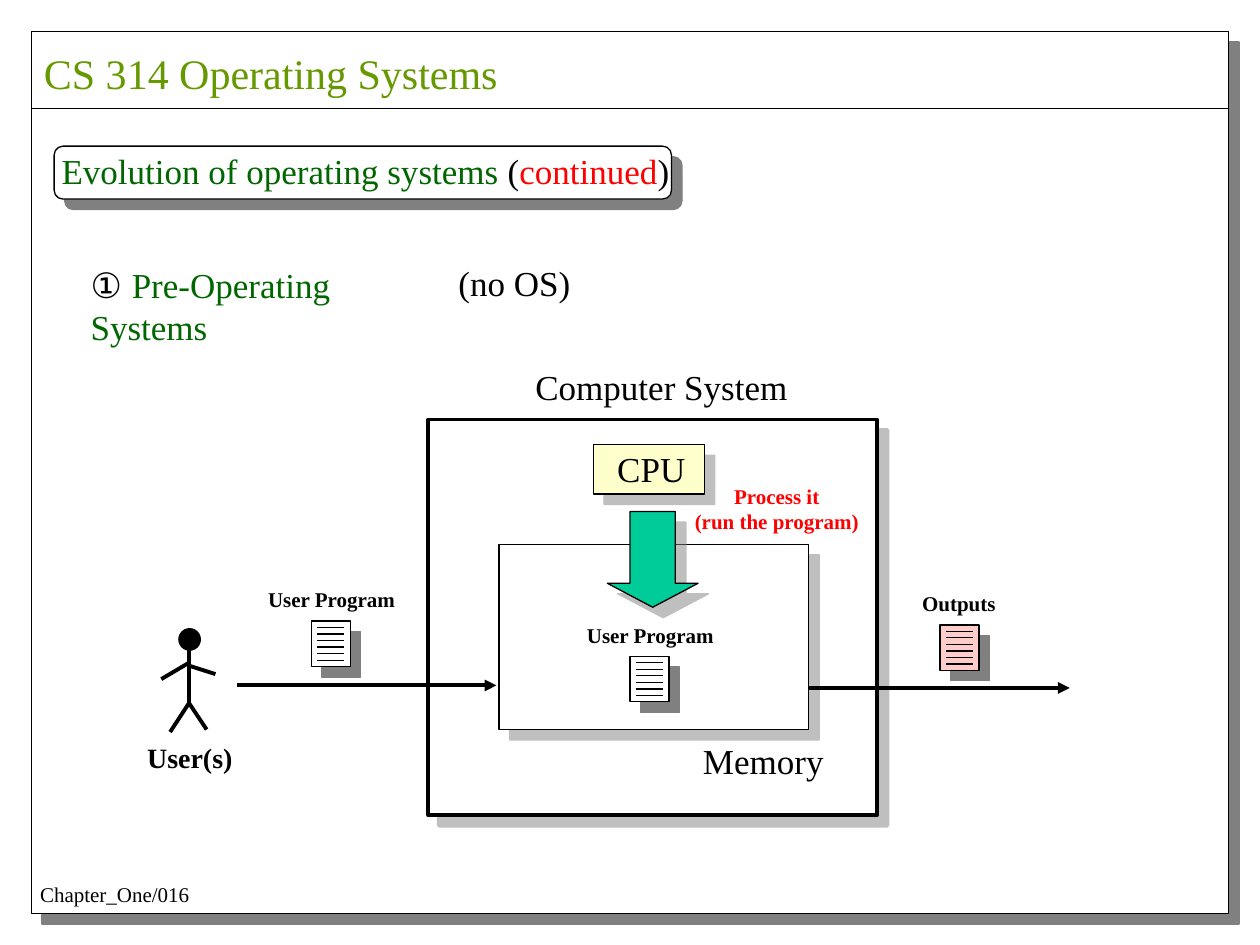
"""Builds the pre-operating-systems slide of a course on operating systems."""
from lxml import etree
from pptx import Presentation
from pptx.dml.color import RGBColor
from pptx.enum import shapes as kinds, text as styles
from pptx.oxml import ns
from pptx.util import Inches, Pt

BLACK = RGBColor(0x00, 0x00, 0x00)
WHITE = RGBColor(0xFF, 0xFF, 0xFF)
GREEN = RGBColor(0x00, 0x66, 0x00)
OLIVE = RGBColor(0x66, 0x99, 0x00)
RED = RGBColor(0xFF, 0x00, 0x00)
CREAM = RGBColor(0xFF, 0xFF, 0xCC)
PINK = RGBColor(0xFF, 0xCC, 0xCC)
TEAL = RGBColor(0x00, 0xCC, 0x99)
GRAY = RGBColor(0x80, 0x80, 0x80)

SERIF, SANS = "Times New Roman", "Arial"
THIN, THICK = 0.75, 2.25
SOLID, SOFT = 100, 50
SHAPE = kinds.MSO_SHAPE

HEADING_BOX = (SHAPE.ROUNDED_RECTANGLE, (0.43, 1.16, 4.9, 0.42), WHITE, THIN, SOLID, (0.167,))
FRAME = (SHAPE.RECTANGLE, (0.25, 0.25, 9.5, 7), WHITE, THIN, SOLID)
MACHINE = [
    (SHAPE.RECTANGLE, (3.4, 3.33, 3.56, 3.14), WHITE, THICK, SOFT),
    (SHAPE.RECTANGLE, (4.71, 3.53, 0.88, 0.39), CREAM, THIN, SOFT),
    (SHAPE.RECTANGLE, (3.96, 4.32, 2.46, 1.47), WHITE, THIN, SOFT),
    (SHAPE.DOWN_ARROW, (4.82, 4.06, 0.72, 0.76), TEAL, THIN, SOFT, (0.5, 0.264)),
]
USER_HEAD = (SHAPE.OVAL, (1.42, 4.99, 0.17, 0.17), BLACK, THIN, None)

DIVIDER = (0.25, 0.86, 9.75, 0.86)
FLOWS = [(1.88, 5.44, 3.94, 5.44), (6.42, 5.46, 8.49, 5.46)]
USER_LIMBS = [
    (1.5, 5.07, 1.5, 5.58),
    (1.5, 5.58, 1.35, 5.81),
    (1.5, 5.58, 1.64, 5.79),
    (1.5, 5.26, 1.28, 5.39),
    (1.49, 5.28, 1.71, 5.35),
]

PAGES = [(2.47, 4.93, WHITE), (5, 5.21, WHITE), (7.46, 4.96, PINK)]
PAGE_WIDTH, PAGE_HEIGHT = 0.31, 0.36
PAGE_LINES, PAGE_MARGIN = 6, 0.05
PAGE_GAP = (PAGE_HEIGHT - 2 * PAGE_MARGIN) / (PAGE_LINES - 1)

HEADING = [
    ("Evolution of operating systems ", GREEN),
    ("(", BLACK),
    ("continued", RED),
    (")", BLACK),
]
STAGE = [("① ", BLACK, SANS), ("Pre-Operating Systems", GREEN)]

LABELS = [
    ((0.25, 0.33, 3.85, 0.5), 24, False, [[("CS 314 Operating Systems", OLIVE)]]),
    ((0.39, 1.14, 5.07, 0.44), 20, False, [HEADING]),
    ((3.54, 2.03, 1.14, 0.44), 20, False, [[("(no OS)", BLACK)]]),
    ((4.15, 2.85, 2.25, 0.44), 20, False, [[("Computer System", BLACK)]]),
    ((4.8, 3.5, 0.79, 0.44), 20, False, [[("CPU", BLACK)]]),
    ((5.48, 5.82, 1.21, 0.44), 20, False, [[("Memory", BLACK)]]),
    ((2.03, 4.61, 1.26, 0.3), 12, True, [[("User Program", BLACK)]]),
    ((4.56, 4.89, 1.26, 0.3), 12, True, [[("User Program", BLACK)]]),
    ((7.22, 4.64, 0.83, 0.3), 12, True, [[("Outputs", BLACK)]]),
    ((1.07, 5.83, 0.92, 0.37), 16, True, [[("User(s)", BLACK)]]),
    ((0.22, 6.95, 1.43, 0.3), 12, False, [[("Chapter_One/016", BLACK)]]),
]
STAGE_LABEL = ((0.62, 2.04, 3.05, 0.44), 20, False, [STAGE])
ACTION_LABEL = ((5.39, 3.79, 1.55, 0.5), 12, True,
                [[("Process it", RED)], [("(run the program)", RED)]])


def add_shadow(block, opacity):
    effects = block._element.spPr.find(ns.qn("a:effectLst"))
    shadow = etree.SubElement(effects, ns.qn("a:outerShdw"), dist=str(Pt(8.5)),
                              dir="2700000", algn="ctr", rotWithShape="0")
    tint = etree.SubElement(shadow, ns.qn("a:srgbClr"), val=str(GRAY))
    etree.SubElement(tint, ns.qn("a:alpha"), val=str(opacity * 1000))


def add_block(slide, preset, place, fill, weight, opacity, adjustments=()):
    block = slide.shapes.add_shape(preset, *map(Inches, place))
    block.shadow.inherit = False
    for index, value in enumerate(adjustments):
        block.adjustments[index] = value
    block.fill.solid()
    block.fill.fore_color.rgb = fill
    block.line.color.rgb = BLACK
    block.line.width = Pt(weight)
    if opacity:
        add_shadow(block, opacity)


def add_stroke(slide, ends, weight, arrow=False):
    stroke = slide.shapes.add_connector(kinds.MSO_CONNECTOR.STRAIGHT, *map(Inches, ends))
    stroke.line.color.rgb = BLACK
    stroke.line.width = Pt(weight)
    if arrow:
        etree.SubElement(stroke.line._get_or_add_ln(), ns.qn("a:tailEnd"), type="triangle")
    etree.SubElement(stroke._element.spPr, ns.qn("a:effectLst"))


def add_page(slide, left, top, fill):
    add_block(slide, SHAPE.RECTANGLE, (left, top, PAGE_WIDTH, PAGE_HEIGHT), fill, THIN, SOLID)
    for row in range(PAGE_LINES):
        y = top + PAGE_MARGIN + row * PAGE_GAP
        add_stroke(slide, (left + PAGE_MARGIN, y, left + PAGE_WIDTH - PAGE_MARGIN, y), THIN)


def add_label(slide, place, size, bold, paragraphs, wrap=True, align=styles.PP_ALIGN.LEFT):
    frame = slide.shapes.add_textbox(*map(Inches, place)).text_frame
    frame.word_wrap = wrap
    frame.auto_size = styles.MSO_AUTO_SIZE.NONE
    for index, runs in enumerate(paragraphs):
        paragraph = frame.add_paragraph() if index else frame.paragraphs[0]
        paragraph.alignment = align
        for words, color, *face in runs:
            run = paragraph.add_run()
            run.text = words
            run.font.size = Pt(size)
            run.font.bold = bold
            run.font.name = face[0] if face else SERIF
            run.font.color.rgb = color


def main():
    deck = Presentation()
    deck.slide_width, deck.slide_height = Inches(10), Inches(7.5)
    slide = deck.slides.add_slide(deck.slide_layouts[6])

    add_block(slide, *FRAME)
    add_stroke(slide, DIVIDER, THIN)
    for block in [HEADING_BOX, *MACHINE, USER_HEAD]:
        add_block(slide, *block)
    for flow in FLOWS:
        add_stroke(slide, flow, THICK, arrow=True)
    for limb in USER_LIMBS:
        add_stroke(slide, limb, THICK)
    for page in PAGES:
        add_page(slide, *page)
    for label in LABELS:
        add_label(slide, *label, wrap=False)
    add_label(slide, *STAGE_LABEL)
    add_label(slide, *ACTION_LABEL, align=styles.PP_ALIGN.CENTER)

    deck.save("out.pptx")


if __name__ == "__main__":
    main()
